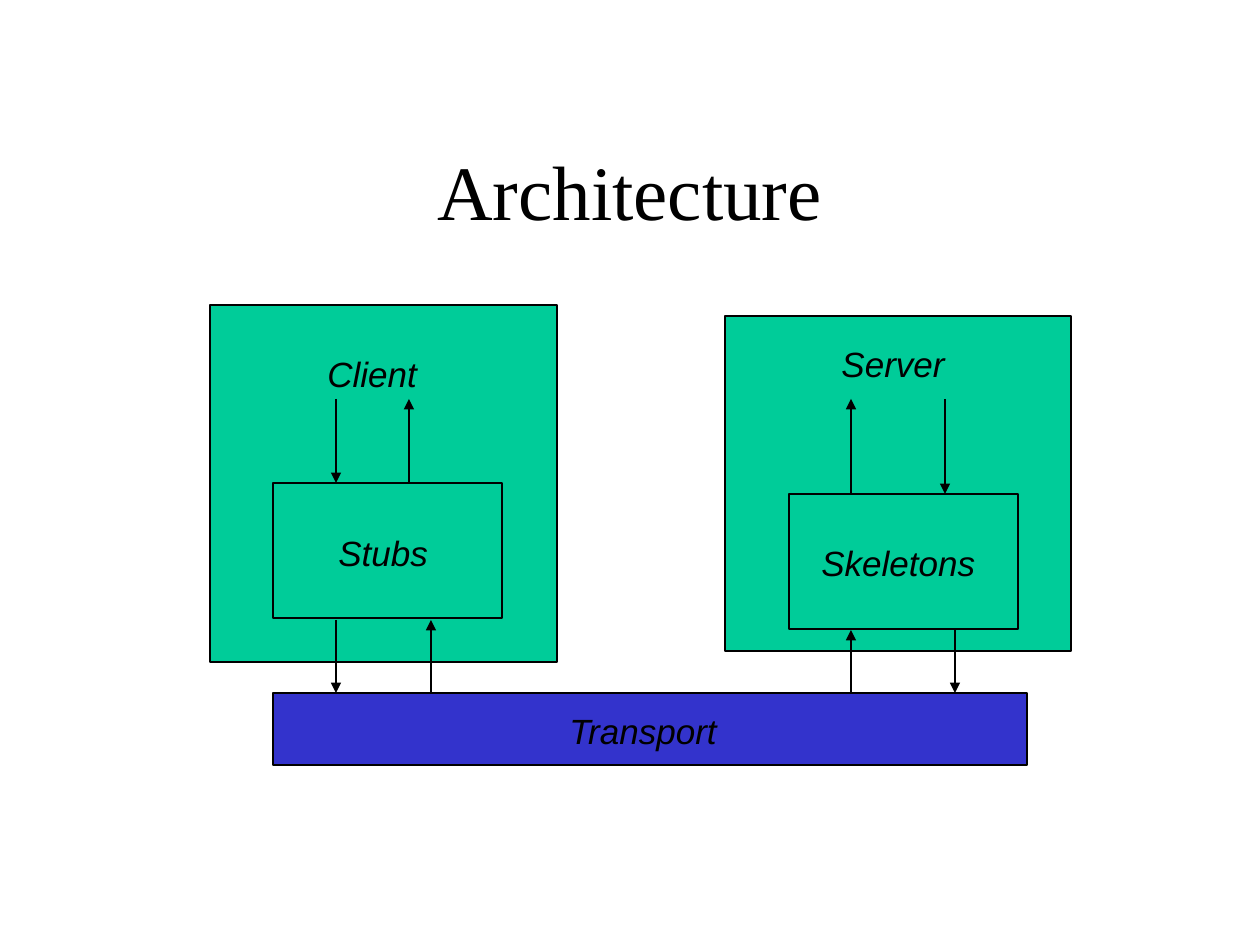
from dataclasses import dataclass

from lxml import etree
from pptx import Presentation
from pptx.dml.color import RGBColor
from pptx.enum.shapes import MSO_CONNECTOR, MSO_SHAPE
from pptx.enum.text import MSO_ANCHOR, PP_ALIGN
from pptx.oxml.ns import qn
from pptx.util import Pt

RECTANGLE = MSO_SHAPE.RECTANGLE
STRAIGHT = MSO_CONNECTOR.STRAIGHT
TOP, BOTTOM = MSO_ANCHOR.TOP, MSO_ANCHOR.BOTTOM
LEFT, CENTER = PP_ALIGN.LEFT, PP_ALIGN.CENTER
EMU_PER_PX = 914400 / 126


@dataclass(frozen=True)
class Theme:
    ink: RGBColor = RGBColor(0x00, 0x00, 0x00)
    process: RGBColor = RGBColor(0x00, 0xCC, 0x99)
    transport: RGBColor = RGBColor(0x33, 0x33, 0xCC)
    title_font: str = "Times New Roman"
    label_font: str = "Arial"
    title_size: int = 44
    label_size: int = 20
    outline: float = 1
    arrow: float = 0.75


THEME = Theme()

# Lengths in px: left, top, width, height
TITLE = ("Architecture", (94, 84, 1072, 158))
BLOCKS = [
    ((210, 305, 347, 357), THEME.process),    # client
    ((273, 483, 229, 135), THEME.process),    # stubs
    ((725, 316, 346, 335), THEME.process),    # server
    ((789, 494, 229, 135), THEME.process),    # skeletons
    ((273, 693, 754, 72), THEME.transport),
]
LABEL_HEIGHT = 54
LABELS = [  # text, left, top, width
    ("Client", 315, 346, 136),
    ("Server", 829, 336, 146),
    ("Stubs", 326, 525, 115),
    ("Skeletons", 809, 535, 189),
    ("Transport", 557, 703, 199),
]
CALL_TOP, TRANSPORT_TOP = 399, 693
# Each gap between layers: upper y, lower y, x of the down and the up arrow
ARROW_PAIRS = [
    (CALL_TOP, 483, 336, 409),         # client and stubs
    (620, TRANSPORT_TOP, 336, 431),    # stubs and transport
    (CALL_TOP, 494, 945, 851),         # server and skeletons
    (630, TRANSPORT_TOP, 955, 851),    # skeletons and transport
]


def px(*lengths):
    return [round(length * EMU_PER_PX) for length in lengths]


def add_block(page, bounds, color):
    block = page.shapes.add_shape(RECTANGLE, *px(*bounds))
    block.shadow.inherit = False
    block.fill.solid()
    block.fill.fore_color.rgb = color
    block.line.color.rgb = THEME.ink
    block.line.width = Pt(THEME.outline)


def add_text(page, text, bounds, font, size, italic=False, align=LEFT, anchor=TOP):
    box = page.shapes.add_textbox(*px(*bounds))
    frame = box.text_frame
    frame.word_wrap = True
    frame.vertical_anchor = anchor
    para = frame.paragraphs[0]
    para.alignment = align
    span = para.add_run()
    span.text = text
    span.font.name = font
    span.font.size = Pt(size)
    span.font.italic = italic
    span.font.color.rgb = THEME.ink


def add_arrow(page, x, start_y, end_y):
    arrow = page.shapes.add_connector(STRAIGHT, *px(x, start_y, x, end_y))
    arrow.line.color.rgb = THEME.ink
    arrow.line.width = Pt(THEME.arrow)
    etree.SubElement(arrow.line._get_or_add_ln(), qn("a:tailEnd"), type="triangle")
    etree.SubElement(arrow._element.spPr, qn("a:effectLst"))


def main():
    deck = Presentation()
    deck.slide_width, deck.slide_height = px(1260, 945)
    page = deck.slides.add_slide(deck.slide_layouts[6])

    title, title_bounds = TITLE
    add_text(page, title, title_bounds, THEME.title_font, THEME.title_size,
             align=CENTER, anchor=BOTTOM)
    for bounds, color in BLOCKS:
        add_block(page, bounds, color)
    for text, left, top, width in LABELS:
        add_text(page, text, (left, top, width, LABEL_HEIGHT),
                 THEME.label_font, THEME.label_size, italic=True)
    for upper, lower, down_x, up_x in ARROW_PAIRS:
        add_arrow(page, down_x, upper, lower)
        add_arrow(page, up_x, lower, upper)

    deck.save("out.pptx")


if __name__ == "__main__":
    main()
